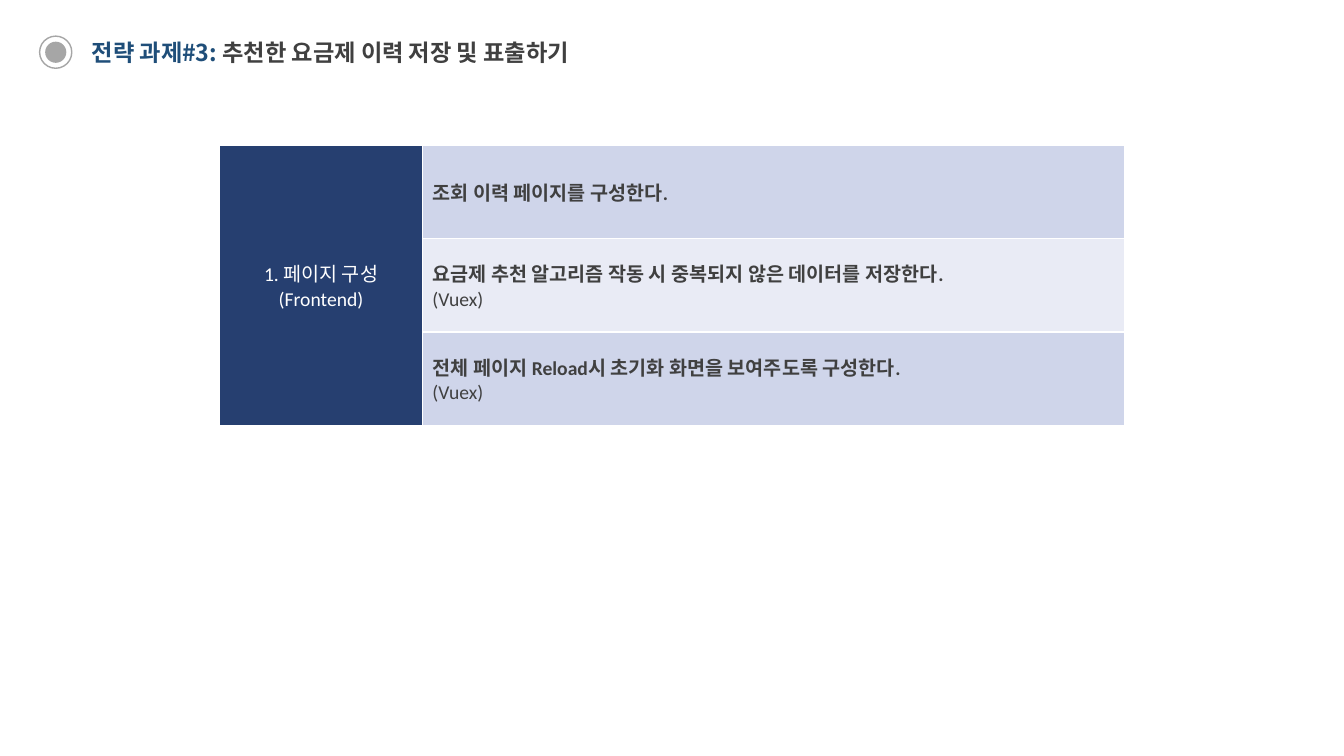
from dataclasses import dataclass

from lxml import etree
from pptx import Presentation
from pptx.dml.color import RGBColor
from pptx.enum import shapes, text
from pptx.oxml import ns
from pptx.util import Pt


@dataclass(frozen=True)
class Theme:
    accent: str = "1F4E79"
    ink: str = "404040"
    white: str = "FFFFFF"
    bullet: str = "A6A6A6"
    header: str = "263F70"
    bands: tuple = ("CFD5EA", "E9EBF5")
    hangul: str = "Noto Sans CJK KR"
    latin: str = "Calibri"
    title_size: float = 16.6
    body_size: float = 14


THEME = Theme()

TITLE = [("전략 과제#3: ", THEME.accent), ("추천한 요금제 이력 저장 및 표출하기", THEME.ink)]
CATEGORY = "1. 페이지 구성\v(Frontend)"
TASKS = [
    ("조회 이력 페이지를 구성한다.", None),
    ("요금제 추천 알고리즘 작동 시 중복되지 않은 데이터를 저장한다.", "(Vuex)"),
    ("전체 페이지 Reload시 초기화 화면을 보여주도록 구성한다.", "(Vuex)"),
]

SLIDE_SIZE = (960, 540)
BULLET_CENTER = (39.8, 37.3)
RING_SIZE, DOT_SIZE = 23, 15.1
TITLE_BOX = (58.3, 23.8, 434.9, 26.6)
TABLE_ORIGIN = (157, 103.7)
COLUMN_WIDTHS = (144.7, 501.8)
ROW_HEIGHT = 66.7


def color(value):
    return RGBColor.from_string(value)


def style(para, face, size, bold, ink=None):
    """Set the paragraph font, with the Hangul face for East Asian letters."""
    font = para.font
    font.size, font.bold, font.name = Pt(size), bold, face
    if ink:
        font.color.rgb = color(ink)
    east_asian = etree.Element(ns.qn("a:ea"), typeface=THEME.hangul)
    para._p.find(".//" + ns.qn("a:latin")).addnext(east_asian)


def add_circle(page, size):
    left, top = (center - size / 2 for center in BULLET_CENTER)
    circle = page.shapes.add_shape(
        shapes.MSO_SHAPE.OVAL, Pt(left), Pt(top), Pt(size), Pt(size))
    circle.shadow.inherit = False
    return circle


def add_bullet(page):
    ring = add_circle(page, RING_SIZE)
    ring.fill.background()
    ring.line.color.rgb = color(THEME.bullet)
    ring.line.width = Pt(1)
    dot = add_circle(page, DOT_SIZE)
    dot.fill.solid()
    dot.fill.fore_color.rgb = color(THEME.bullet)
    dot.line.fill.background()


def add_title(page):
    title = page.shapes.title
    title.left, title.top, title.width, title.height = map(Pt, TITLE_BOX)
    frame = title.text_frame
    frame.word_wrap = True
    frame.auto_size = text.MSO_AUTO_SIZE.NONE
    frame.vertical_anchor = text.MSO_ANCHOR.MIDDLE
    para = frame.paragraphs[0]
    para.alignment = text.PP_ALIGN.LEFT
    for words, ink in TITLE:
        span = para.add_run()
        span.text = words
        span.font.color.rgb = color(ink)
    style(para, THEME.hangul, THEME.title_size, True)


def format_cell(cell, fill):
    properties = cell._tc.get_or_add_tcPr()
    for side in ("lnL", "lnR", "lnT", "lnB"):
        line = etree.SubElement(properties, ns.qn("a:" + side), w=str(Pt(1)))
        paint = etree.SubElement(line, ns.qn("a:solidFill"))
        etree.SubElement(paint, ns.qn("a:srgbClr"), val=THEME.white)
    cell.fill.solid()
    cell.fill.fore_color.rgb = color(fill)
    cell.vertical_anchor = text.MSO_ANCHOR.MIDDLE


def add_task_table(page):
    size = (sum(COLUMN_WIDTHS), ROW_HEIGHT * len(TASKS))
    table = page.shapes.add_table(
        len(TASKS), len(COLUMN_WIDTHS), *map(Pt, TABLE_ORIGIN + size)).table
    table.first_row = table.horz_banding = False
    for column, width in zip(table.columns, COLUMN_WIDTHS):
        column.width = Pt(width)

    for index, (task, note) in enumerate(TASKS):
        table.rows[index].height = Pt(ROW_HEIGHT)
        format_cell(table.cell(index, 0), THEME.header)
        cell = table.cell(index, 1)
        format_cell(cell, THEME.bands[index % len(THEME.bands)])
        para = cell.text_frame.paragraphs[0]
        para.text = task
        style(para, THEME.latin, THEME.body_size, True, THEME.ink)
        if note:
            para = cell.text_frame.add_paragraph()
            para.text = note
            style(para, THEME.latin, THEME.body_size, False, THEME.ink)

    category = table.cell(0, 0)
    category.merge(table.cell(len(TASKS) - 1, 0))
    para = category.text_frame.paragraphs[0]
    para.text = CATEGORY
    para.alignment = text.PP_ALIGN.CENTER
    style(para, THEME.latin, THEME.body_size, False, THEME.white)


def main():
    deck = Presentation()
    deck.slide_width, deck.slide_height = map(Pt, SLIDE_SIZE)
    page = deck.slides.add_slide(deck.slide_layouts.get_by_name("Title Only"))
    add_bullet(page)
    add_title(page)
    add_task_table(page)
    deck.save("out.pptx")


if __name__ == "__main__":
    main()
